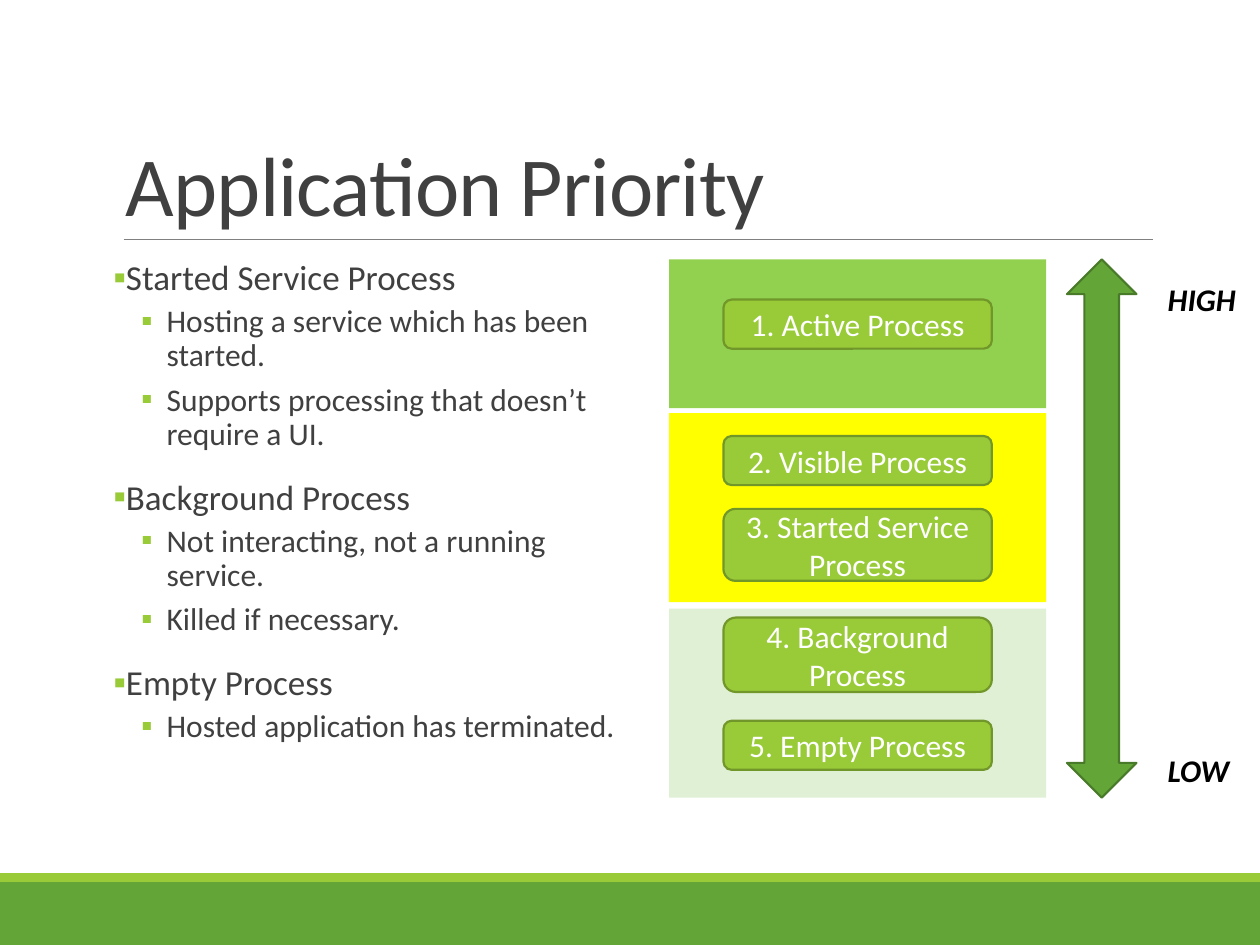
import dataclasses
import pptx
import pptx.dml.color
import pptx.enum.shapes
import pptx.enum.text
import pptx.oxml.ns
import pptx.util
from lxml import etree

Cm = pptx.util.Cm
Pt = pptx.util.Pt
Kind = pptx.enum.shapes.MSO_SHAPE
Align = pptx.enum.text.PP_ALIGN
Anchor = pptx.enum.text.MSO_ANCHOR


@dataclasses.dataclass(frozen=True)
class Theme:
    """Colours, font and type sizes of the slide."""
    face: str = "Calibri"
    ink: str = "404040"
    black: str = "000000"
    white: str = "FFFFFF"
    rule: str = "808080"
    lime: str = "99CB38"
    edge: str = "719629"
    green: str = "63A537"
    dark: str = "497A29"
    high: str = "92D050"
    mid: str = "FFFF00"
    low: str = "DFF0D4"
    title: int = 48
    head: int = 20
    body: int = 18


THEME = Theme()

POINTS = [
    ("Started Service Process", [
        "Hosting a service which has been started.",
        "Supports processing that doesn’t require a UI."]),
    ("Background Process", [
        "Not interacting, not a running service.",
        "Killed if necessary."]),
    ("Empty Process", ["Hosted application has terminated."]),
]

BANDS = [
    (0, 3, THEME.high, [(0.81, 0.99, "1. Active Process")]),
    (3.1, 3.81, THEME.mid, [(0.46, 0.99, "2. Visible Process"),
                            (1.93, 1.45, "3. Started Service Process")]),
    (7.04, 3.81, THEME.low, [(0.18, 1.5, "4. Background Process"),
                             (2.26, 0.99, "5. Empty Process")]),
]


def rgb(code):
    """Turn a hex code into a colour."""
    return pptx.dml.color.RGBColor.from_string(code)


def style(para, size, color, bold=None, italic=None):
    """Format every run of a paragraph."""
    for run in para.runs:
        font = run.font
        font.name, font.size = THEME.face, Pt(size)
        font.bold, font.italic = bold, italic
        font.color.rgb = rgb(color)


def shape(slide, kind, box, fill, line=None):
    """Add a filled preset shape, outlined if a line colour is given."""
    item = slide.shapes.add_shape(kind, *map(Cm, box))
    item.shadow.inherit = False
    item.fill.solid()
    item.fill.fore_color.rgb = rgb(fill)
    if line:
        item.line.color.rgb = rgb(line)
        item.line.width = Pt(1.25)
    else:
        item.line.fill.background()
    return item


def textbox(slide, box):
    """Add a wrapping text box and return its frame."""
    frame = slide.shapes.add_textbox(*map(Cm, box)).text_frame
    frame.word_wrap = True
    return frame


def bullet(para, left, hang):
    """Give a paragraph a hanging square bullet."""
    props = para._p.get_or_add_pPr()
    props.set("marL", str(Cm(left)))
    props.set("indent", str(-Cm(hang)))
    qn = pptx.oxml.ns.qn
    tint = etree.SubElement(props, qn("a:buClr"))
    etree.SubElement(tint, qn("a:srgbClr"), val=THEME.lime)
    etree.SubElement(props, qn("a:buFont"), typeface=THEME.face)
    etree.SubElement(props, qn("a:buChar"), char="▪")


def footer(slide, box):
    """Draw the two-tone strip at the foot of the slide."""
    left, top, width, height = box
    trim = 0.18
    shape(slide, Kind.RECTANGLE,
          (left, top + trim, width, height - trim), THEME.green)
    shape(slide, Kind.RECTANGLE, (left, top, width, trim), THEME.lime)


def heading(slide, box, text):
    """Write the title on the bottom of its box, with a rule below."""
    left, top, width, height = box
    base = Cm(top + height)
    rule = slide.shapes.add_connector(
        pptx.enum.shapes.MSO_CONNECTOR.STRAIGHT,
        Cm(left + 0.2), base, Cm(left + width), base)
    rule.line.color.rgb = rgb(THEME.rule)
    rule.line.width = Pt(0.5)
    etree.SubElement(rule._element.spPr, pptx.oxml.ns.qn("a:effectLst"))
    frame = textbox(slide, box)
    frame.vertical_anchor = Anchor.BOTTOM
    frame.text = text
    para = frame.paragraphs[0]
    para.line_spacing = 0.85
    style(para, THEME.title, THEME.ink)
    para.runs[0].font._element.set("spc", "-50")


def outline(slide, box, points):
    """Write the two-level bullet list."""
    frame = textbox(slide, box)
    frame.margin_left = frame.margin_right = 0
    rows = []
    for head, subs in points:
        rows.append((head, THEME.head, 0.25, 0.25, 12, 2))
        rows += [(sub, THEME.body, 1.07, 0.51, 2, 4) for sub in subs]
    for order, (text, size, left, hang, before, after) in enumerate(rows):
        para = frame.add_paragraph() if order else frame.paragraphs[0]
        para.text = text
        para.line_spacing = 0.9
        para.space_before = Pt(before if order else 0)
        para.space_after = Pt(after)
        bullet(para, left, hang)
        style(para, size, THEME.ink)


def stack(slide, box, bands):
    """Draw the priority bands with their process buttons."""
    left, top, width, _ = box
    wide = 5.41
    for drop, height, fill, items in bands:
        edge = top + drop
        shape(slide, Kind.RECTANGLE, (left, edge, width, height), fill)
        for gap, tall, text in items:
            spot = (left + (width - wide) / 2, edge + gap, wide, tall)
            item = shape(slide, Kind.ROUNDED_RECTANGLE, spot,
                         THEME.lime, THEME.edge)
            frame = item.text_frame
            frame.word_wrap = True
            frame.vertical_anchor = Anchor.MIDDLE
            frame.text = text
            frame.paragraphs[0].alignment = Align.CENTER
            style(frame.paragraphs[0], THEME.body, THEME.white)


def scale(slide, box):
    """Draw the two-way arrow and name its ends."""
    left, top, width, height = box
    shape(slide, Kind.UP_DOWN_ARROW, (left, top, 1.4, height),
          THEME.green, THEME.dark)
    inset = 1.78
    for text, drop in (("HIGH", 0.3), ("LOW", height - 1.07)):
        frame = textbox(slide, (left + inset, top + drop,
                                width - inset, 1.02))
        frame.text = text
        style(frame.paragraphs[0], THEME.body, THEME.black, True, True)


def main():
    """Build the slide and save it."""
    deck = pptx.Presentation()
    deck.slide_width, deck.slide_height = Cm(25.4), Cm(19.05)
    slide = deck.slides.add_slide(deck.slide_layouts[6])
    footer(slide, (0, 17.6, 25.4, 1.45))
    heading(slide, (2.29, 0.79, 20.95, 4.04), "Application Priority")
    outline(slide, (2.29, 5.13, 10.29, 11.18), POINTS)
    stack(slide, (13.49, 5.23, 7.6, 10.85), BANDS)
    scale(slide, (21.51, 5.23, 3.89, 10.85))
    deck.save("out.pptx")


if __name__ == "__main__":
    main()
